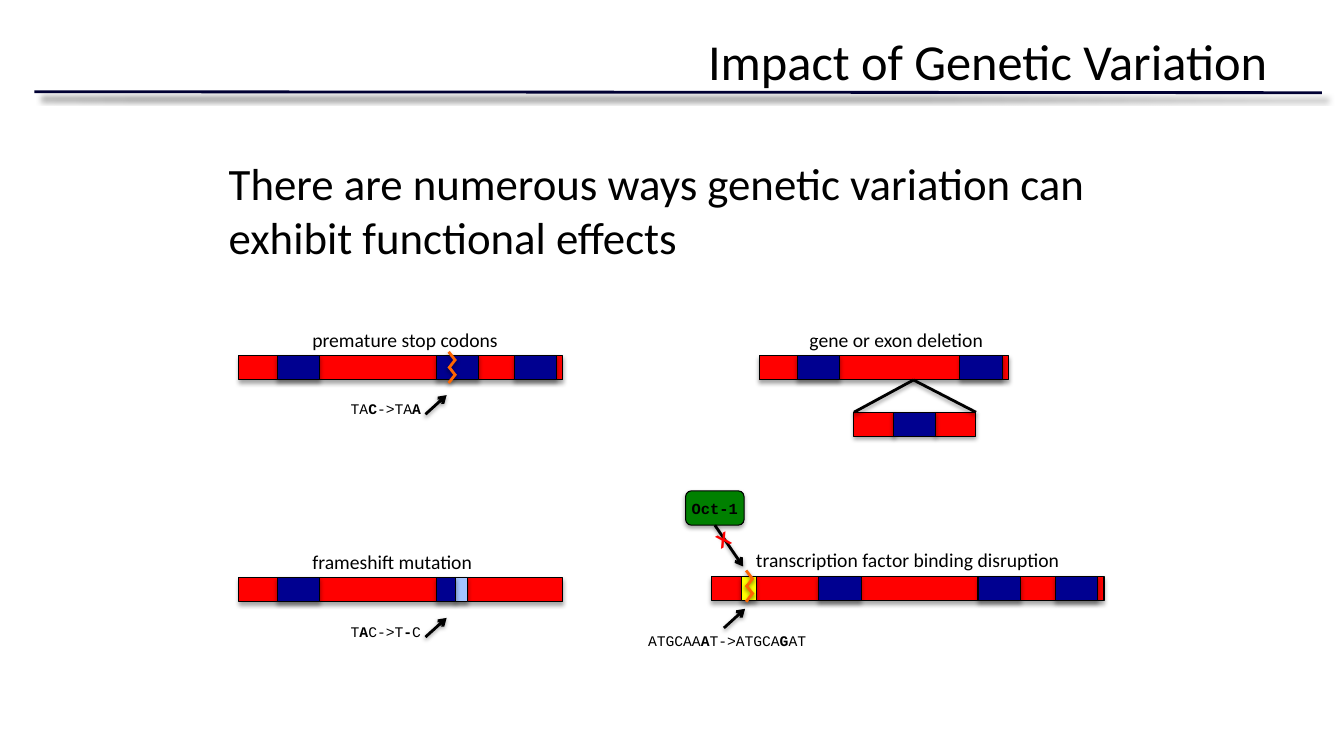
from lxml import etree
from pptx import Presentation
from pptx.dml.color import RGBColor
from pptx.enum.shapes import MSO_CONNECTOR, MSO_SHAPE
from pptx.enum.text import MSO_ANCHOR, PP_ALIGN
from pptx.oxml.ns import qn
from pptx.util import Inches, Pt

RECT, ROUND = MSO_SHAPE.RECTANGLE, MSO_SHAPE.ROUNDED_RECTANGLE
STRAIGHT = MSO_CONNECTOR.STRAIGHT
LEFT, CENTER, RIGHT = PP_ALIGN.LEFT, PP_ALIGN.CENTER, PP_ALIGN.RIGHT
MIDDLE = MSO_ANCHOR.MIDDLE

THEME = {
    "ink": "000000", "rule": "000033", "gene": "FF0000", "exon": "000090",
    "shifted": "A3C3FF", "site": "FFFF00", "factor": "008000", "break": "FF6600",
    "sans": "Calibri", "mono": "Courier New", "mark": "Arial",
    "title": 36, "body": 32, "label": 14, "code": 10.5, "name": 11,
    "box_shadow": (35, 3.1, 1.8, 90),
    "line_shadow": (38, 3.1, 1.6, 90),
    "rule_shadow": (50, 4, 6, 45),
}
COLS, ROWS = 1333, 750
EXON_W, BAR_H = 42, 24

prs = Presentation()
prs.slide_width, prs.slide_height = Inches(13.33), Inches(7.5)
U = prs.slide_width // COLS
slide = prs.slides.add_slide(prs.slide_layouts[6])


def finish(s, color, width, shadow):
    s.line.color.rgb = RGBColor.from_string(THEME[color])
    s.line.width = Pt(width)
    alpha, blur, dist, angle = THEME[shadow]
    effects = etree.SubElement(s._element.spPr, qn("a:effectLst"))
    outer = etree.SubElement(
        effects, qn("a:outerShdw"), blurRad=str(Pt(blur)), dist=str(Pt(dist)),
        dir=str(angle * 60000), algn="ctr", rotWithShape="0")
    black = etree.SubElement(outer, qn("a:srgbClr"), val=THEME["ink"])
    etree.SubElement(black, qn("a:alpha"), val=str(alpha * 1000))


def write(s, runs, font, size, color="ink", align=LEFT, wrap=False):
    tf = s.text_frame
    tf.word_wrap = wrap
    p = tf.paragraphs[0]
    p.alignment = align
    for text, bold in runs:
        r = p.add_run()
        r.text = text
        r.font.name = THEME[font]
        r.font.size = Pt(THEME[size])
        r.font.bold = bold
        r.font.color.rgb = RGBColor.from_string(THEME[color])


rule = slide.shapes.add_connector(STRAIGHT, 34 * U, 91 * U, 1311 * U, 92 * U)
finish(rule, "rule", 2, "rule_shadow")

title = slide.shapes.add_textbox(67 * U, 25 * U, 1200 * U, 125 * U)
write(title, [("Impact of Genetic Variation", False)], "sans", "title", align=RIGHT, wrap=True)
body = slide.shapes.add_textbox(217 * U, 150 * U, 900 * U, 126 * U)
write(body, [("There are numerous ways genetic variation can exhibit functional effects", False)],
      "sans", "body", wrap=True)

genes = [
    (237, 353, [(0, 321, "gene"), (38, EXON_W, "exon"), (196, EXON_W, "exon"),
                (273, EXON_W, "exon")]),
    (237, 573, [(0, 321, "gene"), (38, EXON_W, "exon"), (215, 12, "shifted"),
                (196, 19, "exon")]),
    (753, 353, [(0, 247, "gene"), (38, EXON_W, "exon"), (199, EXON_W, "exon")]),
    (847, 409, [(0, 40, "gene"), (81, 40, "gene"), (39, EXON_W, "exon")]),
    (706, 572, [(0, 389, "gene"), (106, EXON_W, "exon"), (264, EXON_W, "exon"),
                (341, EXON_W, "exon"), (29, 15, "site")]),
]
for x, y, parts in genes:
    for offset, width, fill in parts:
        s = slide.shapes.add_shape(RECT, (x + offset) * U, y * U, width * U, BAR_H * U)
        s.fill.solid()
        s.fill.fore_color.rgb = RGBColor.from_string(THEME[fill])
        finish(s, "ink", 0.75, "box_shadow")

factor = slide.shapes.add_shape(ROUND, 680 * U, 487 * U, 58 * U, 34 * U)
factor.fill.solid()
factor.fill.fore_color.rgb = RGBColor.from_string(THEME["factor"])
finish(factor, "ink", 0.75, "box_shadow")
tf = factor.text_frame
tf.margin_left = tf.margin_right = tf.margin_top = tf.margin_bottom = 0
tf.vertical_anchor = MIDDLE
write(factor, [("Oct-1", True)], "mono", "name", align=CENTER, wrap=True)

lines = [
    (422, 411, 443, 392, True), (422, 632, 443, 613, True), (718, 623, 739, 604, True),
    (906, 377, 847, 409, False), (906, 377, 968, 409, False), (709, 521, 737, 562, True),
]
for x1, y1, x2, y2, arrow in lines:
    s = slide.shapes.add_connector(STRAIGHT, x1 * U, y1 * U, x2 * U, y2 * U)
    finish(s, "ink", 2, "line_shadow")
    if arrow:
        etree.SubElement(s._element.spPr.find(qn("a:ln")), qn("a:tailEnd"), type="arrow")
s.begin_connect(factor, 2)

for x, y in [(445, 349), (740, 566)]:
    zigzag = slide.shapes.add_group_shape()
    for i in range(4):
        x1, x2 = (x, x + 7) if i % 2 == 0 else (x + 7, x)
        top = y + 7.33 * i
        s = zigzag.shapes.add_connector(
            STRAIGHT, x1 * U, int(top * U), x2 * U, int((top + 9) * U))
        finish(s, "break", 2, "line_shadow")

labels = [
    (300, 320, 207, "premature stop codons"),
    (300, 541, 181, "frameshift mutation"),
    (793, 320, 195, "gene or exon deletion"),
    (740, 539, 324, "transcription factor binding disruption"),
]
for x, y, width, text in labels:
    s = slide.shapes.add_textbox(x * U, y * U, width * U, 34 * U)
    write(s, [(text, False)], "sans", "label")

codes = [
    (338, 392, 92, [("TA", False), ("C", True), ("->TA", False), ("A", True)]),
    (338, 613, 91, [("T", False), ("A", True), ("C->T", False), ("-", True), ("C", False)]),
    (633, 622, 179, [("ATGCAA", False), ("A", True), ("T->ATGCA", False), ("G", True),
                     ("AT", False)]),
]
for x, y, width, runs in codes:
    s = slide.shapes.add_textbox(x * U, y * U, width * U, 28 * U)
    write(s, runs, "mono", "code")

cross = slide.shapes.add_textbox(701 * U, 519 * U, 33 * U, 34 * U)
cross.rotation = 332
write(cross, [("X", True)], "mark", "label", color="gene")

prs.save("out.pptx")
